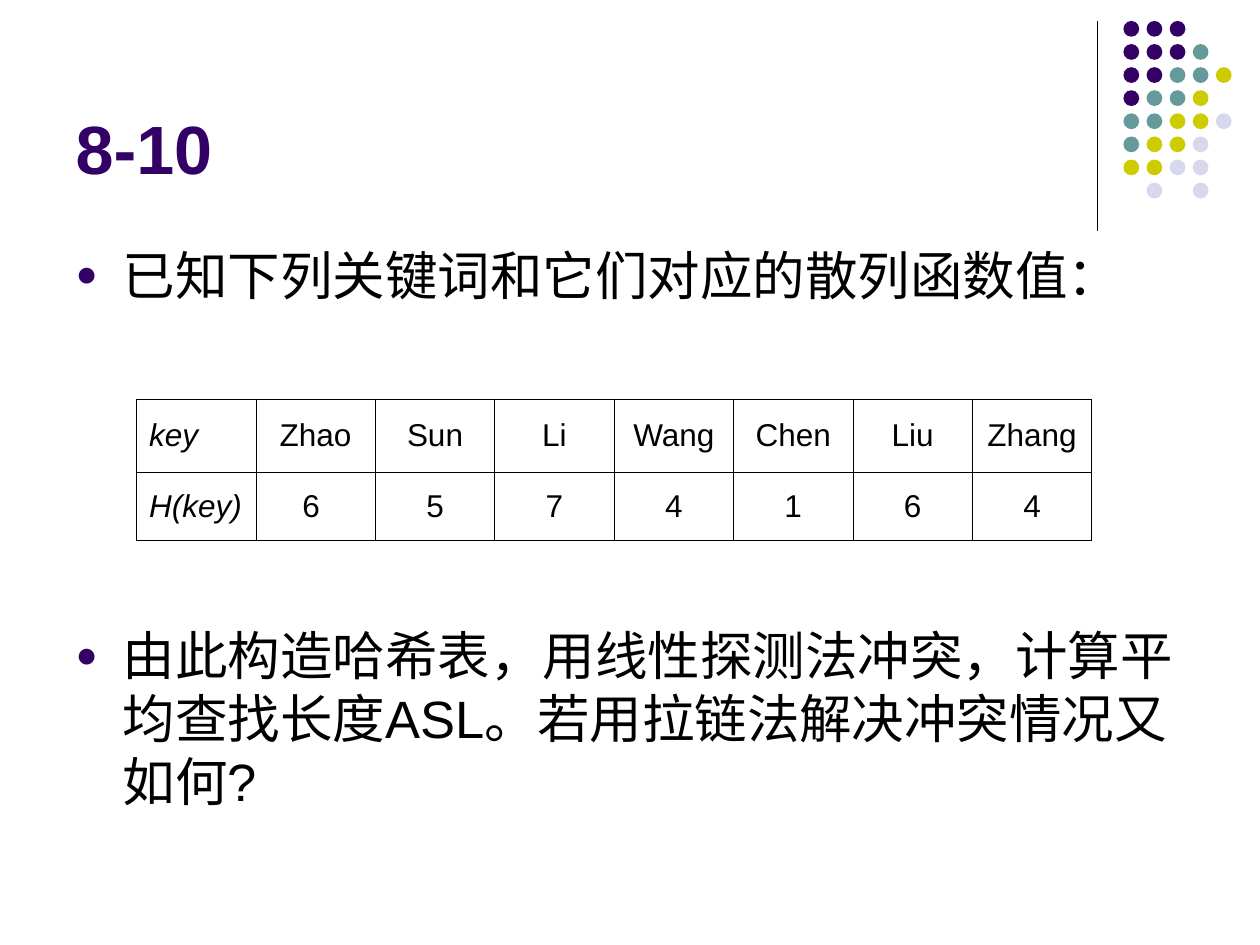
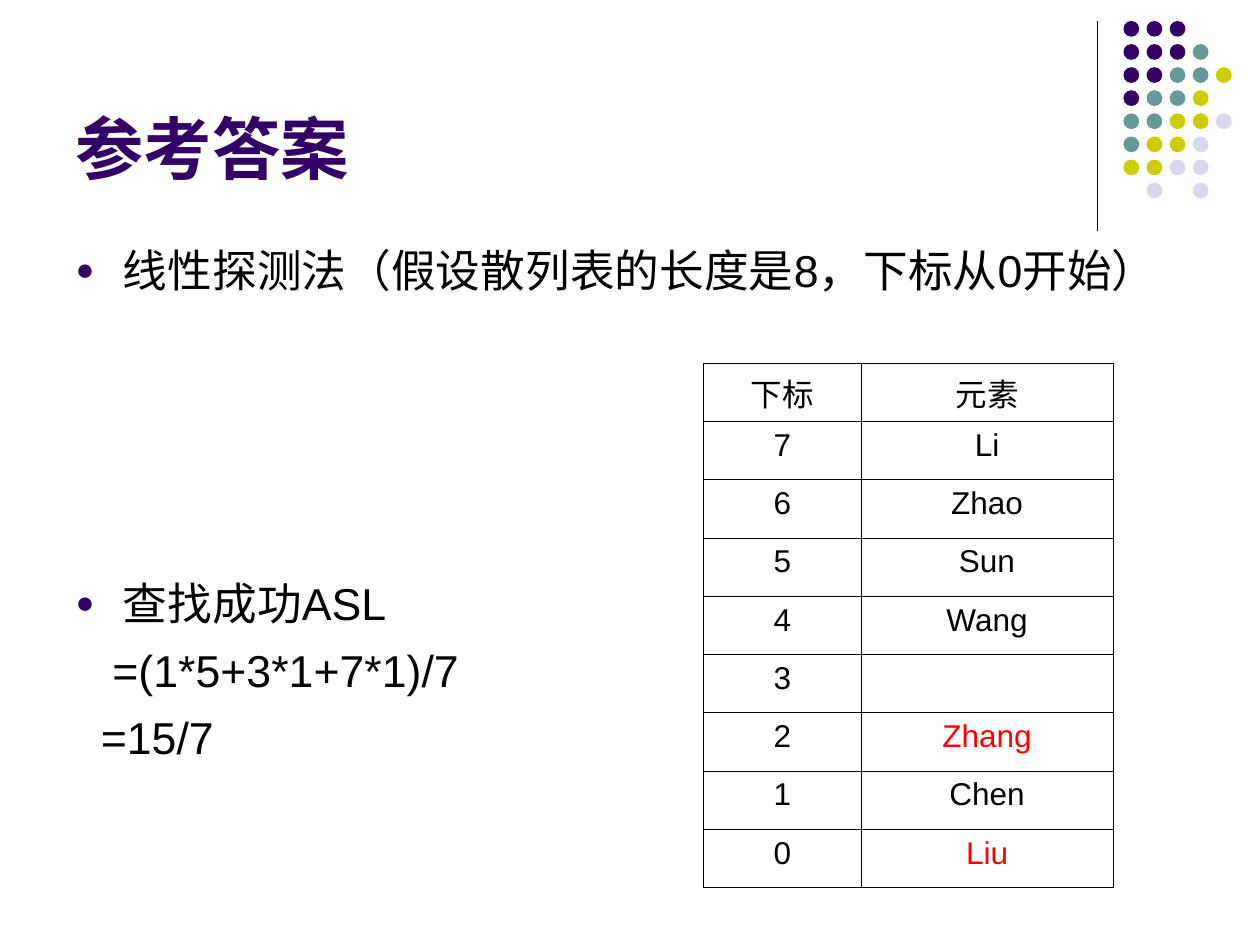
from lxml import etree
from pptx import Presentation
from pptx import util as u
from pptx.dml.color import RGBColor
from pptx.enum import shapes, text
from pptx.oxml import ns

PURPLE = RGBColor(0x33, 0x00, 0x66)
TEAL = RGBColor(0x66, 0x99, 0x99)
YELLOW = RGBColor(0xCC, 0xCC, 0x00)
LILAC = RGBColor(0xD8, 0xD8, 0xEC)
BLACK = RGBColor(0x00, 0x00, 0x00)
RED = RGBColor(0xFF, 0x00, 0x00)

FONT = "Arial"
GRID = u.Inches(1) // 12
SLIDE_COLUMNS, SLIDE_ROWS = 120, 90
TITLE_AREA = (6, 1.5, 99, 17)
BODY_AREA = (6, 22.5, 108, 57.8)
HANGING = 4.5
PARAGRAPH_GAP = 7.5

DOT_COLORS = {"P": PURPLE, "T": TEAL, "Y": YELLOW, "L": LILAC}
DOT_ROWS = ("PPP", "PPPT", "PPTTY", "PTTY", "TTYYL", "TYYL", "YYLL", ".L.L")
DOT_LEFT, DOT_TOP, DOT_PITCH, DOT_SIZE = 107, 2, 2.2, 1.5

TITLE_FONT = {"name": FONT, "size": u.Pt(39), "bold": True}
CELL_FONT = {"name": FONT, "size": u.Pt(18)}

HASH_VALUES = (
    ("key", "Zhao", "Sun", "Li", "Wang", "Chen", "Liu", "Zhang"),
    ("H(key)", "6 ", "5", "7", "4", "1", "6", "4"),
)
PROBED_SLOTS = (
    ("下标", "元素"), ("7", "Li"), ("6", "Zhao"), ("5", "Sun"), ("4", "Wang"),
    ("3", ""), ("2", "Zhang"), ("1", "Chen"), ("0", "Liu"),
)
COLLIDED = ("Zhang", "Liu")


def cells(*counts):
    """Turn counts of grid cells into lengths."""
    return [u.Emu(round(count * GRID)) for count in counts]


def apply(target, formats, color=None):
    """Set every format value on the target, and its colour if given."""
    for name, value in formats.items():
        setattr(target, name, value)
    if color is not None:
        target.color.rgb = color


def add_xml(parent, tag, **attributes):
    """Append a DrawingML element to the parent."""
    return etree.SubElement(parent, ns.qn(f"a:{tag}"), attributes)


def place(placeholder, area):
    """Move a placeholder to a grid area."""
    left, top, width, height = cells(*area)
    apply(placeholder, {"left": left, "top": top, "width": width, "height": height})


def decorate_layout(slide):
    """Move the rule and the dot pattern into the layout that the slides share."""
    layout = slide.slide_layout
    for placeholder in list(layout.placeholders)[2:]:
        layout.shapes.element.remove(placeholder.element)

    rule = slide.shapes.add_connector(
        shapes.MSO_CONNECTOR.STRAIGHT, *cells(104.5, 2, 104.5, 22))
    apply(rule.line, {"width": u.Pt(0.75)}, BLACK)
    add_xml(rule.element.spPr, "effectLst")

    dots = slide.shapes.add_group_shape()
    for row, pattern in enumerate(DOT_ROWS):
        for column, key in enumerate(pattern):
            if key in DOT_COLORS:
                dot = dots.shapes.add_shape(shapes.MSO_SHAPE.OVAL, *cells(
                    DOT_LEFT + column * DOT_PITCH, DOT_TOP + row * DOT_PITCH,
                    DOT_SIZE, DOT_SIZE))
                dot.shadow.inherit = False
                dot.fill.solid()
                dot.fill.fore_color.rgb = DOT_COLORS[key]
                dot.line.fill.background()

    for decoration in (rule, dots):
        layout.shapes.element.append(decoration.element)


def write_title(slide, wording):
    """Fill the title placeholder."""
    title = slide.shapes.title
    place(title, TITLE_AREA)
    apply(title.text_frame, {
        "text": wording, "word_wrap": True,
        "vertical_anchor": text.MSO_ANCHOR.BOTTOM,
        "auto_size": text.MSO_AUTO_SIZE.NONE})
    paragraph = title.text_frame.paragraphs[0]
    paragraph.alignment = text.PP_ALIGN.LEFT
    apply(paragraph.font, TITLE_FONT, PURPLE)


def set_bullet(paragraph, indent):
    """Give a paragraph a round bullet, or a plain indent if one is given."""
    properties = paragraph._p.get_or_add_pPr()
    left, first = cells(HANGING, -HANGING) if indent is None else cells(indent, 0)
    properties.set("marL", str(left))
    properties.set("indent", str(first))
    if indent is not None:
        add_xml(properties, "buNone")
        return
    add_xml(add_xml(properties, "buClr"), "srgbClr", val=str(PURPLE))
    add_xml(properties, "buSzPct", val="70000")
    add_xml(properties, "buFont", typeface=FONT)
    add_xml(properties, "buChar", char="●")


def write_body(slide, size, items):
    """Fill the body with (wording, space before, indent) items."""
    body = slide.placeholders[1]
    place(body, BODY_AREA)
    frame = body.text_frame
    apply(frame, {"word_wrap": True, "auto_size": text.MSO_AUTO_SIZE.NONE})
    for number, (wording, gap, indent) in enumerate(items):
        paragraph = frame.add_paragraph() if number else frame.paragraphs[0]
        set_bullet(paragraph, indent)
        apply(paragraph, {"text": wording, "space_before": u.Pt(gap)})
        apply(paragraph.font, {"name": FONT, "size": u.Pt(size)}, BLACK)


def outline_cell(cell):
    """Draw thin black borders around a cell without a fill."""
    properties = cell._tc.get_or_add_tcPr()
    for side in ("lnL", "lnR", "lnT", "lnB"):
        border = add_xml(properties, side, w=str(u.Pt(0.45)))
        add_xml(add_xml(border, "solidFill"), "srgbClr", val=str(BLACK))
    cell.fill.background()


def add_grid_table(slide, corner, widths, heights, rows, style):
    """Add a table; style gives the anchor, alignment, italic and colour of a cell."""
    table = slide.shapes.add_table(
        len(rows), len(widths), *cells(*corner, sum(widths), sum(heights))).table
    for column, width in zip(table.columns, cells(*widths)):
        column.width = width
    for row, height in zip(table.rows, cells(*heights)):
        row.height = height
    for r, row in enumerate(rows):
        for c, wording in enumerate(row):
            anchor, alignment, italic, color = style(r, c, wording)
            cell = table.cell(r, c)
            outline_cell(cell)
            apply(cell, {"text": wording, "vertical_anchor": anchor})
            paragraph = cell.text_frame.paragraphs[0]
            paragraph.alignment = alignment
            apply(paragraph.font, CELL_FONT | {"bold": False, "italic": italic}, color)


def hash_style(row, column, wording):
    """Set the row names in italics at the left and centre the values."""
    is_name = column == 0
    alignment = text.PP_ALIGN.LEFT if is_name else text.PP_ALIGN.CENTER
    return text.MSO_ANCHOR.MIDDLE, alignment, is_name, BLACK


def slot_style(row, column, wording):
    """Centre the header row and mark the collided keys in red."""
    anchor = text.MSO_ANCHOR.TOP if row else text.MSO_ANCHOR.MIDDLE
    color = RED if wording in COLLIDED else BLACK
    return anchor, text.PP_ALIGN.CENTER, False, color


def add_slide(deck, title, size, items):
    """Add a slide with a title and a list."""
    slide = deck.slides.add_slide(deck.slide_layouts[1])
    write_title(slide, title)
    write_body(slide, size, items)
    return slide


def main():
    """Build the exercise and its answer."""
    deck = Presentation()
    deck.slide_width, deck.slide_height = cells(SLIDE_COLUMNS, SLIDE_ROWS)

    exercise = add_slide(deck, "8-10", 30, (
        ("已知下列关键词和它们对应的散列函数值：", 0, None),
        ("由此构造哈希表，用线性探测法冲突，计算平均查找长度ASL。"
         "若用拉链法解决冲突情况又如何?", 181.5, None),
    ))
    decorate_layout(exercise)
    add_grid_table(exercise, (13, 38), [91 / 8] * 8, (7, 6.5), HASH_VALUES, hash_style)

    answer = add_slide(deck, "参考答案", 25.5, (
        ("线性探测法（假设散列表的长度是8，下标从0开始）", 0, None),
        ("查找成功ASL", 160, None),
        ("=(1*5+3*1+7*1)/7", PARAGRAPH_GAP, 3.5),
        ("=15/7", PARAGRAPH_GAP, 2.4),
    ))
    add_grid_table(answer, (67, 34.6), (15, 24), [5.55] * len(PROBED_SLOTS),
                   PROBED_SLOTS, slot_style)

    deck.save("out.pptx")


if __name__ == "__main__":
    main()
